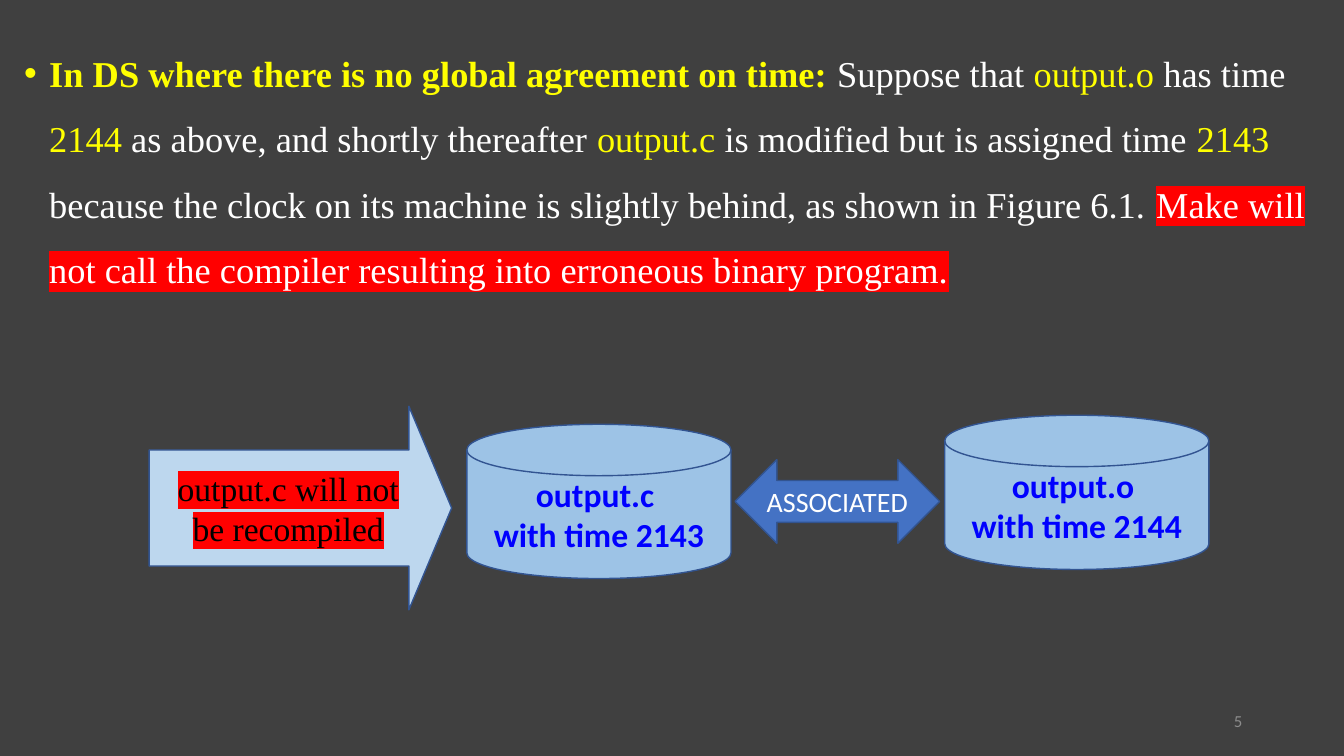
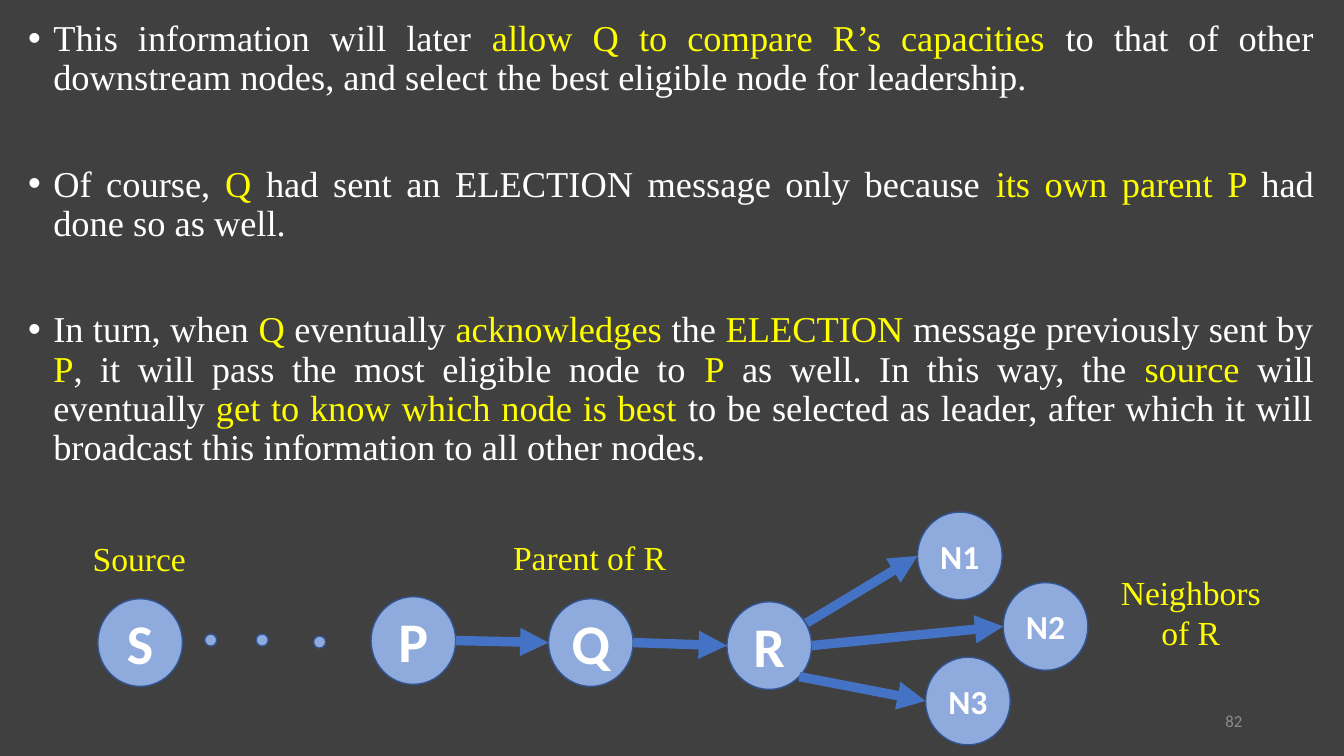
from math import cos, radians, sin

from lxml.etree import SubElement
from pptx import Presentation
from pptx.dml.color import RGBColor
from pptx.enum.shapes import MSO_CONNECTOR, MSO_SHAPE
from pptx.enum.text import MSO_ANCHOR, PP_ALIGN
from pptx.oxml.ns import qn
from pptx.util import Pt

EMU_PER_PX = 9144  # 100 px to the inch

BACKDROP = RGBColor(0x40, 0x40, 0x40)
WHITE = RGBColor(0xFF, 0xFF, 0xFF)
BLACK = RGBColor(0x00, 0x00, 0x00)
YELLOW = RGBColor(0xFF, 0xFF, 0x00)
RED = RGBColor(0xFF, 0x00, 0x00)
BLUE_TEXT = RGBColor(0x00, 0x00, 0xFF)
GREY = RGBColor(0x8C, 0x8C, 0x8C)
OUTLINE = RGBColor(0x32, 0x54, 0x91)
ACCENT = RGBColor(0x44, 0x72, 0xC4)
FILE_BLUE = RGBColor(0x9D, 0xC3, 0xE6)
NOTE_BLUE = RGBColor(0xBD, 0xD7, 0xEE)
NODE_BLUE = RGBColor(0x8F, 0xAA, 0xDC)

SERIF, SANS = "Times New Roman", "Calibri"
BODY = {"name": SERIF, "size": Pt(26), "color": WHITE}
KEY = BODY | {"color": YELLOW}
LEAD = KEY | {"bold": True}
ALERT = BODY | {"highlight": RED}
LABEL = {"name": SERIF, "size": Pt(24), "color": YELLOW}
NOTE = LABEL | {"color": BLACK, "highlight": RED}
FILE = {"name": SANS, "size": Pt(24), "color": BLUE_TEXT, "bold": True}
RELATION = {"name": SANS, "size": Pt(20), "color": WHITE}
NODE = {"name": SANS, "size": Pt(40), "color": WHITE, "bold": True}
NEIGHBOR = NODE | {"size": Pt(24)}
NUMBER = {"name": SANS, "size": Pt(12), "color": GREY}


def px(*lengths):
    return [length * EMU_PER_PX for length in lengths]


class Deck:
    def __init__(self):
        self.prs = Presentation()
        self.prs.slide_width, self.prs.slide_height = px(1333, 750)
        self.slide = None

    def new_slide(self, number):
        self.slide = self.prs.slides.add_slide(self.prs.slide_layouts[6])
        self.slide.background.fill.solid()
        self.slide.background.fill.fore_color.rgb = BACKDROP
        self.label((942, 695, 300, 40), number, NUMBER,
                   PP_ALIGN.RIGHT, MSO_ANCHOR.MIDDLE)

    def add_text(self, paragraph, text, style):
        run = paragraph.add_run()
        run.text = text
        for key, value in style.items():
            if key == "color":
                run.font.color.rgb = value
            elif key == "highlight":
                mark = SubElement(run.font._element, qn("a:highlight"))
                SubElement(mark, qn("a:srgbClr"), val=str(value))
                run.font._element.find(qn("a:solidFill")).addnext(mark)
            else:
                setattr(run.font, key, value)

    def fill_frame(self, frame, lines, style, align, anchor):
        frame.word_wrap = True
        frame.vertical_anchor = anchor
        for i, line in enumerate(lines):
            paragraph = frame.add_paragraph() if i else frame.paragraphs[0]
            paragraph.alignment = align
            self.add_text(paragraph, line, style)

    def label(self, box, text, style=LABEL, align=PP_ALIGN.LEFT,
              anchor=MSO_ANCHOR.TOP):
        frame = self.slide.shapes.add_textbox(*px(*box)).text_frame
        self.fill_frame(frame, [text], style, align, anchor)

    def bullets(self, box, items, align, spacing, gap=10):
        """Each item is a list of (text, style) pieces; gap is in points."""
        frame = self.slide.shapes.add_textbox(*px(*box)).text_frame
        frame.word_wrap = True
        for i, pieces in enumerate(items):
            paragraph = frame.add_paragraph() if i else frame.paragraphs[0]
            paragraph.alignment = align
            paragraph.line_spacing = spacing
            paragraph.space_before = Pt(gap if i else 10)
            props = paragraph._p.get_or_add_pPr()
            indent, = px(25)
            props.set("marL", str(indent))
            props.set("indent", str(-indent))
            SubElement(props, qn("a:buFont"), typeface="Arial")
            SubElement(props, qn("a:buChar"), char="•")
            for text, style in pieces:
                self.add_text(paragraph, text, style)

    def shape(self, kind, box, fill, lines=(), style=None, adjustments=()):
        shape = self.slide.shapes.add_shape(kind, *px(*box))
        shape.shadow.inherit = False
        shape.fill.solid()
        shape.fill.fore_color.rgb = fill
        shape.line.color.rgb = OUTLINE
        shape.line.width = Pt(1)
        for i, value in enumerate(adjustments):
            shape.adjustments[i] = value
        self.fill_frame(shape.text_frame, lines, style,
                        PP_ALIGN.CENTER, MSO_ANCHOR.MIDDLE)
        return shape

    def file_disk(self, left, top, *lines):
        self.shape(MSO_SHAPE.FLOWCHART_MAGNETIC_DISK, (left, top, 262, 153),
                   FILE_BLUE, lines, FILE)

    def node(self, left, top, name, style=NODE):
        return self.shape(MSO_SHAPE.FLOWCHART_CONNECTOR, (left, top, 84, 87),
                          NODE_BLUE, [name], style)

    def dot(self, left, top):
        self.shape(MSO_SHAPE.FLOWCHART_CONNECTOR, (left, top, 12, 12), NODE_BLUE)

    def arrow(self, source, target, site=6, start=None):
        """Join a site of source to the left of target, or begin at a free start.

        Sites run anticlockwise from the top in steps of 45 degrees.
        """
        def rim(node, index):
            angle = radians(45 * index)
            return (round(node.left + node.width / 2 * (1 - sin(angle))),
                    round(node.top + node.height / 2 * (1 - cos(angle))))

        begin = px(*start) if start else rim(source, site)
        link = self.slide.shapes.add_connector(
            MSO_CONNECTOR.STRAIGHT, *begin, *rim(target, 2))
        link.line.color.rgb = ACCENT
        link.line.width = Pt(6.75)
        props = link._element.spPr
        SubElement(props.find(qn("a:ln")), qn("a:tailEnd"), type="triangle")
        SubElement(props, qn("a:effectLst"))
        ends = [("a:endCxn", target, 2)]
        if not start:
            ends.insert(0, ("a:stCxn", source, site))
        glue = link._element.find(".//" + qn("p:cNvCxnSpPr"))
        for tag, node, index in ends:
            SubElement(glue, qn(tag), id=str(node.shape_id), idx=str(index))


def clock_slide(deck):
    deck.new_slide("5")
    deck.bullets((14, 24, 1306, 711), [[
        ("In DS where there is no global agreement on time: ", LEAD),
        ("Suppose that ", BODY), ("output.o", KEY), (" has time ", BODY),
        ("2144", KEY), (" as above, and shortly thereafter ", BODY),
        ("output.c", KEY), (" is modified but is assigned time ", BODY),
        ("2143", KEY),
        (" because the clock on its machine is slightly behind, "
         "as shown in Figure 6.1. ", BODY),
        ("Make will not call the compiler resulting into erroneous "
         "binary program.", ALERT),
    ]], PP_ALIGN.LEFT, 1.5)
    deck.file_disk(463, 421, "output.c ", "with time 2143")
    deck.file_disk(937, 412, "output.o ", "with time 2144")
    deck.shape(MSO_SHAPE.LEFT_RIGHT_ARROW, (729, 456, 203, 83), ACCENT,
               ["ASSOCIATED"], RELATION)
    deck.shape(MSO_SHAPE.RIGHT_ARROW, (148, 403, 300, 202), NOTE_BLUE,
               ["output.c will not be recompiled"], NOTE, (0.57, 0.21))


def election_slide(deck):
    deck.new_slide("82")
    deck.bullets((18, 15, 1295, 720), [
        [("This information will later ", BODY),
         ("allow Q to compare R’s capacities ", KEY),
         ("to that of other downstream nodes, and select the best eligible "
          "node for leadership. ", BODY)],
        [("Of course, ", BODY), ("Q", KEY),
         (" had sent an ELECTION message only because ", BODY),
         ("its own parent P ", KEY), ("had done so as well. ", BODY)],
        [("In turn, when ", BODY), ("Q", KEY), (" eventually ", BODY),
         ("acknowledges", KEY), (" the ", BODY), ("ELECTION", KEY),
         (" message previously sent by ", BODY), ("P", KEY),
         (", it will pass the most eligible node to ", BODY), ("P", KEY),
         (" as well. In this way, the ", BODY), ("source", KEY),
         (" will eventually ", BODY), ("get to know which node is best", KEY),
         (" to be selected as leader, after which it will broadcast this "
          "information to all other nodes.", BODY)],
    ], PP_ALIGN.JUSTIFY, 0.9, gap=48)

    deck.node(97, 594, "S")
    parent_of_q = deck.node(368, 592, "P")
    parent_of_r = deck.node(544, 594, "Q")
    root = deck.node(721, 597, "R")
    upper = deck.node(910, 508, "N1", NEIGHBOR)
    middle = deck.node(995, 578, "N2", NEIGHBOR)
    lower = deck.node(918, 652, "N3", NEIGHBOR)
    for left, top in ((203, 629), (254, 629), (311, 631)):
        deck.dot(left, top)

    deck.arrow(parent_of_q, parent_of_r)
    deck.arrow(parent_of_r, root)
    deck.arrow(root, upper, start=(800, 618))
    deck.arrow(root, middle)
    deck.arrow(root, lower, site=5)

    deck.label((82, 529, 138, 50), "Source")
    deck.label((499, 528, 178, 50), "Parent of R")
    deck.label((1097, 562, 168, 91), "Neighbors of R", align=PP_ALIGN.CENTER)


def main():
    deck = Deck()
    clock_slide(deck)
    election_slide(deck)
    deck.prs.save("out.pptx")


if __name__ == "__main__":
    main()
